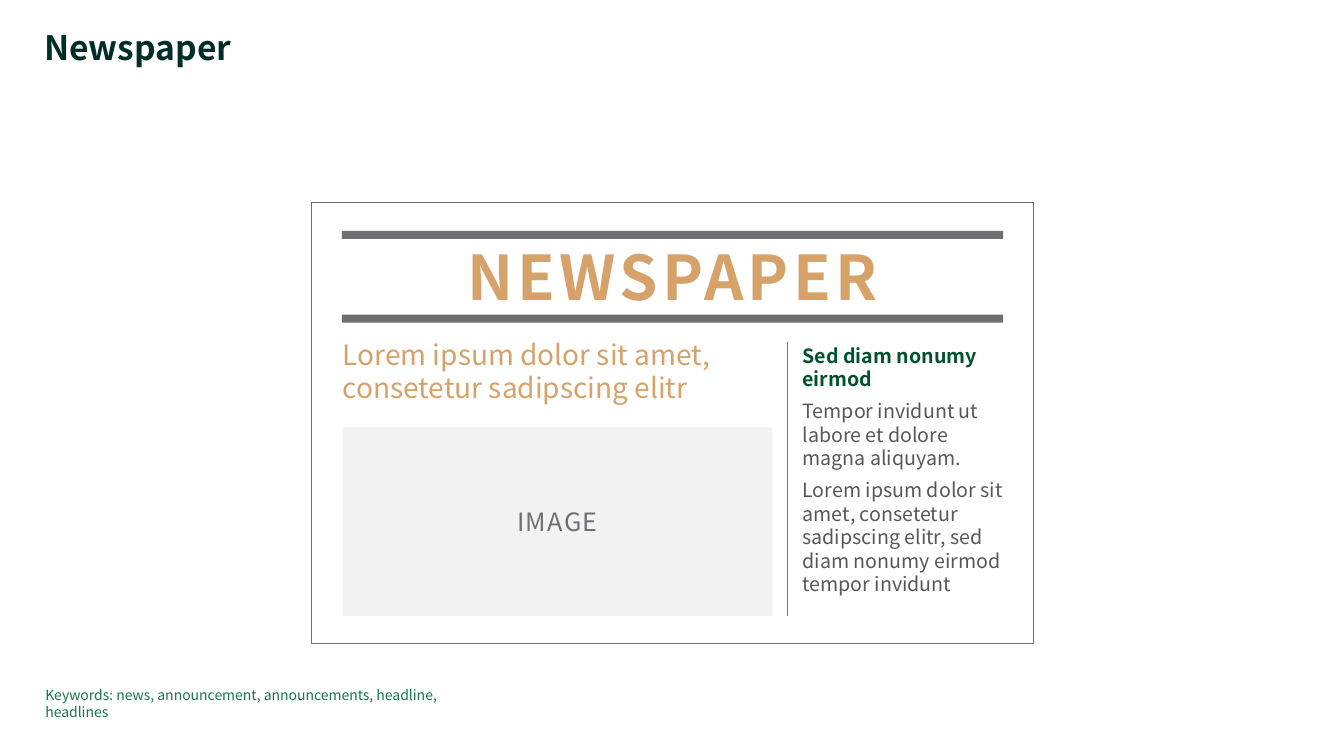
from pptx import Presentation
from pptx.dml.color import RGBColor
from pptx.enum.shapes import MSO_CONNECTOR, MSO_SHAPE
from pptx.enum.text import MSO_ANCHOR, PP_ALIGN
from pptx.oxml.ns import qn
from pptx.util import Pt
from lxml import etree

PX = 9144
FONT = "Noto Sans CJK JP"
COLORS = {
    "title": "002D28", "gray": "6E6F73", "gold": "D6A26A", "green": "03522D",
    "body": "575757", "keywords": "1A7449", "image": "F2F2F2", "paper": "FFFFFF",
}


def px(*lengths):
    """Turn px lengths into EMU."""
    return [length * PX for length in lengths]


def color(name):
    """Look up a colour by its role."""
    return RGBColor.from_string(COLORS[name])


def add_bar(slide, box, fill, outline=None):
    """Add a plain rectangle, optionally outlined."""
    bar = slide.shapes.add_shape(MSO_SHAPE.RECTANGLE, *px(*box))
    bar.shadow.inherit = False
    bar.fill.solid()
    bar.fill.fore_color.rgb = color(fill)
    if outline:
        bar.line.color.rgb = color(outline)
        bar.line.width = Pt(0.5)
    else:
        bar.line.fill.background()
    return bar


def write(holder, paragraphs, size, leading=None, after=0, tracking=0,
          align=PP_ALIGN.LEFT, anchor=MSO_ANCHOR.TOP, wrap=True):
    """Fill a shape with (wording, colour, bold) paragraphs."""
    frame = holder.text_frame
    layout = {"margin_left": 0, "margin_right": 0, "margin_top": 0,
              "margin_bottom": 0, "word_wrap": wrap, "vertical_anchor": anchor}
    for name, value in layout.items():
        setattr(frame, name, value)
    for index, (wording, ink, bold) in enumerate(paragraphs):
        paragraph = frame.add_paragraph() if index else frame.paragraphs[0]
        paragraph.alignment = align
        paragraph.space_after = Pt(after)
        if leading:
            paragraph.line_spacing = Pt(leading)
        run = paragraph.add_run()
        run.text = wording
        for name, value in {"name": FONT, "size": Pt(size), "bold": bold}.items():
            setattr(run.font, name, value)
        run.font.color.rgb = color(ink)
        properties = run.font._element
        if tracking:
            properties.set("spc", str(tracking * 100))
        etree.SubElement(properties, qn("a:ea")).set("typeface", FONT)


def add_text(slide, box, paragraphs, size, **style):
    """Add a text box with the given paragraphs."""
    write(slide.shapes.add_textbox(*px(*box)), paragraphs, size, **style)


def add_masthead(slide, left, top, width):
    """Place the newspaper name between two heavy rules."""
    for offset in (0, 83):
        add_bar(slide, (left, top + offset, width, 8), "gray")
    add_text(slide, (left, top + 3, width, 84), [("NEWSPAPER", "gold", True)], 44,
             tracking=3, align=PP_ALIGN.CENTER, anchor=MSO_ANCHOR.MIDDLE, wrap=False)


def add_lead_story(slide, left, top, width):
    """Place the headline above its image area."""
    headline = "Lorem ipsum dolor sit amet, consetetur sadipscing elitr"
    add_text(slide, (left, top, width, 67), [(headline, "gold", False)], 20,
             leading=23.6, after=12)
    image = add_bar(slide, (left, top + 89, width, 187), "image")
    write(image, [("IMAGE", "gray", False)], 18, tracking=1,
          align=PP_ALIGN.CENTER, anchor=MSO_ANCHOR.MIDDLE)


def add_side_column(slide, left, top, width, height):
    """Place the divider and the side story."""
    divider = slide.shapes.add_connector(
        MSO_CONNECTOR.STRAIGHT, *px(left, top, left, top + height))
    divider.line.color.rgb = color("gray")
    divider.line.width = Pt(0.5)
    etree.SubElement(divider._element.spPr, qn("a:effectLst"))
    story = [
        ("Sed diam nonumy eirmod", "green", True),
        ("Tempor invidunt ut labore et dolore magna aliquyam.", "body", False),
        ("Lorem ipsum dolor sit amet, consetetur sadipscing elitr, "
         "sed diam nonumy eirmod tempor invidunt", "body", False),
    ]
    add_text(slide, (left + 15, top + 2, width - 15, 252), story, 14,
             leading=16.8, after=6)


def add_newspaper(slide, left, top, width, height):
    """Place the framed front page."""
    margin = 30
    add_bar(slide, (left, top, width, height), "paper", "gray")
    add_masthead(slide, left + margin, top + 28, width - 2 * margin)
    add_lead_story(slide, left + margin + 1, top + 134, 426)
    add_side_column(slide, left + 472, top + 138, 214, 272)


def main():
    """Build and save the slide."""
    deck = Presentation()
    deck.slide_width, deck.slide_height = px(1333, 750)
    slide = deck.slides.add_slide(deck.slide_layouts[6])
    add_text(slide, (44, 28, 1103, 37), [("Newspaper", "title", True)], 24, leading=28)
    add_newspaper(slide, 309, 201, 716, 437)
    keywords = "Keywords: news, announcement, announcements, headline, headlines"
    add_text(slide, (45, 681, 436, 34), [(keywords, "keywords", False)], 10, leading=12)
    deck.save("out.pptx")


if __name__ == "__main__":
    main()
